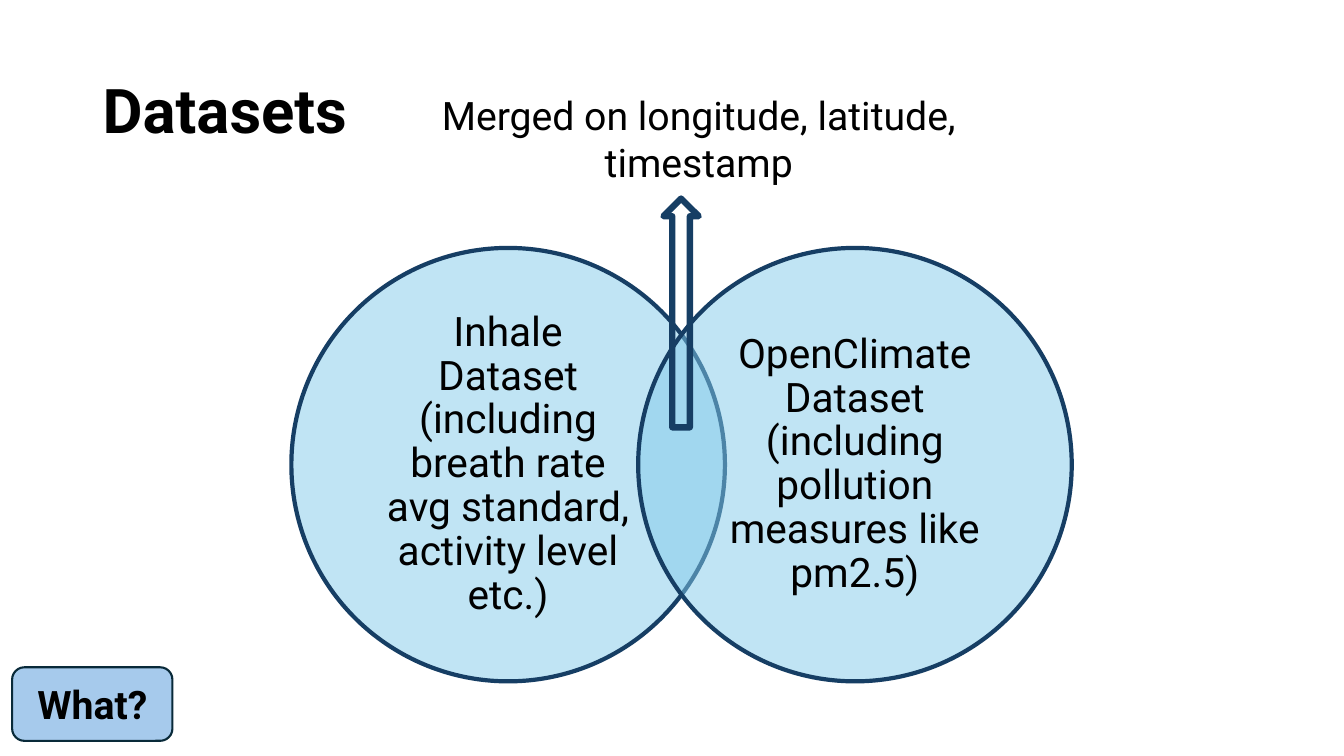
import lxml.etree
import pptx
import pptx.dml.color
import pptx.enum.shapes
import pptx.enum.text
import pptx.oxml.ns
import pptx.util

Inches = pptx.util.Inches
Shapes = pptx.enum.shapes.MSO_SHAPE
Align = pptx.enum.text.PP_ALIGN
Anchor = pptx.enum.text.MSO_ANCHOR

COLORS = {
    "text": "000000",
    "circle": "83CBEB",
    "outline": "163E64",
    "tag": "A6CAEC",
    "tag_line": "092A39",
}


class SlideBuilder:
    font = "Roboto"

    def __init__(self, deck):
        self.slide = deck.slides.add_slide(deck.slide_layouts[6])

    def color(self, name):
        return pptx.dml.color.RGBColor.from_string(COLORS[name])

    def label(self, box, text, size, bold=False, align=Align.CENTER,
              anchor=Anchor.MIDDLE, spacing=None):
        frame = box.text_frame
        frame.word_wrap = True
        frame.vertical_anchor = anchor
        para = frame.paragraphs[0]
        para.alignment = align
        para.line_spacing = spacing
        span = para.add_run()
        span.text = text
        span.font.name = self.font
        span.font.size = pptx.util.Pt(size)
        span.font.bold = bold
        span.font.color.rgb = self.color("text")

    def text(self, left, top, width, height, text, size, side=0.1, edge=0.05, **style):
        box = self.slide.shapes.add_textbox(
            Inches(left), Inches(top), Inches(width), Inches(height))
        frame = box.text_frame
        frame.margin_left = frame.margin_right = Inches(side)
        frame.margin_top = frame.margin_bottom = Inches(edge)
        self.label(box, text, size, **style)

    def shape(self, kind, left, top, width, height, line, weight, fill=None, opacity=None):
        shape = self.slide.shapes.add_shape(
            kind, Inches(left), Inches(top), Inches(width), Inches(height))
        shape.shadow.inherit = False
        shape.line.color.rgb = self.color(line)
        shape.line.width = pptx.util.Pt(weight)
        if fill is None:
            shape.fill.background()
            return shape
        shape.fill.solid()
        shape.fill.fore_color.rgb = self.color(fill)
        if opacity is not None:
            solid = shape.element.spPr.find(pptx.oxml.ns.qn("a:solidFill"))
            alpha = lxml.etree.SubElement(solid[0], pptx.oxml.ns.qn("a:alpha"))
            alpha.set("val", str(opacity * 1000))
        return shape

    def venn_circle(self, left, top, size, caption):
        self.shape(Shapes.OVAL, left, top, size, size, "outline", 3, "circle", 50)
        inset = 0.63
        inner = size - 2 * inset
        self.text(left + inset, top + inset, inner, inner, caption, 29,
                  side=0.24, edge=0.04, spacing=0.9)


def main():
    deck = pptx.Presentation()
    deck.slide_width = Inches(13.33)
    deck.slide_height = Inches(7.5)
    page = SlideBuilder(deck)

    page.text(0.92, 0.4, 11.5, 1.45, "Datasets", 44, bold=True,
              align=Align.LEFT, spacing=0.9)

    datasets = [
        "Inhale Dataset (including breath rate avg standard, activity level etc.)",
        "OpenClimate Dataset (including pollution measures like pm2.5)",
    ]
    for index, caption in enumerate(datasets):
        page.venn_circle(2.89 + index * 3.44, 2.46, 4.3, caption)

    page.text(4.14, 0.86, 5.58, 1.04, "Merged on longitude, latitude, timestamp", 28,
              anchor=Anchor.TOP)
    page.shape(Shapes.UP_ARROW, 6.58, 1.97, 0.35, 2.27, "outline", 4.5)

    tag = page.shape(Shapes.ROUNDED_RECTANGLE, 0.12, 6.62, 1.59, 0.73,
                     "tag_line", 1.5, "tag")
    page.label(tag, "What?", 28, bold=True)

    deck.save("out.pptx")


if __name__ == "__main__":
    main()
